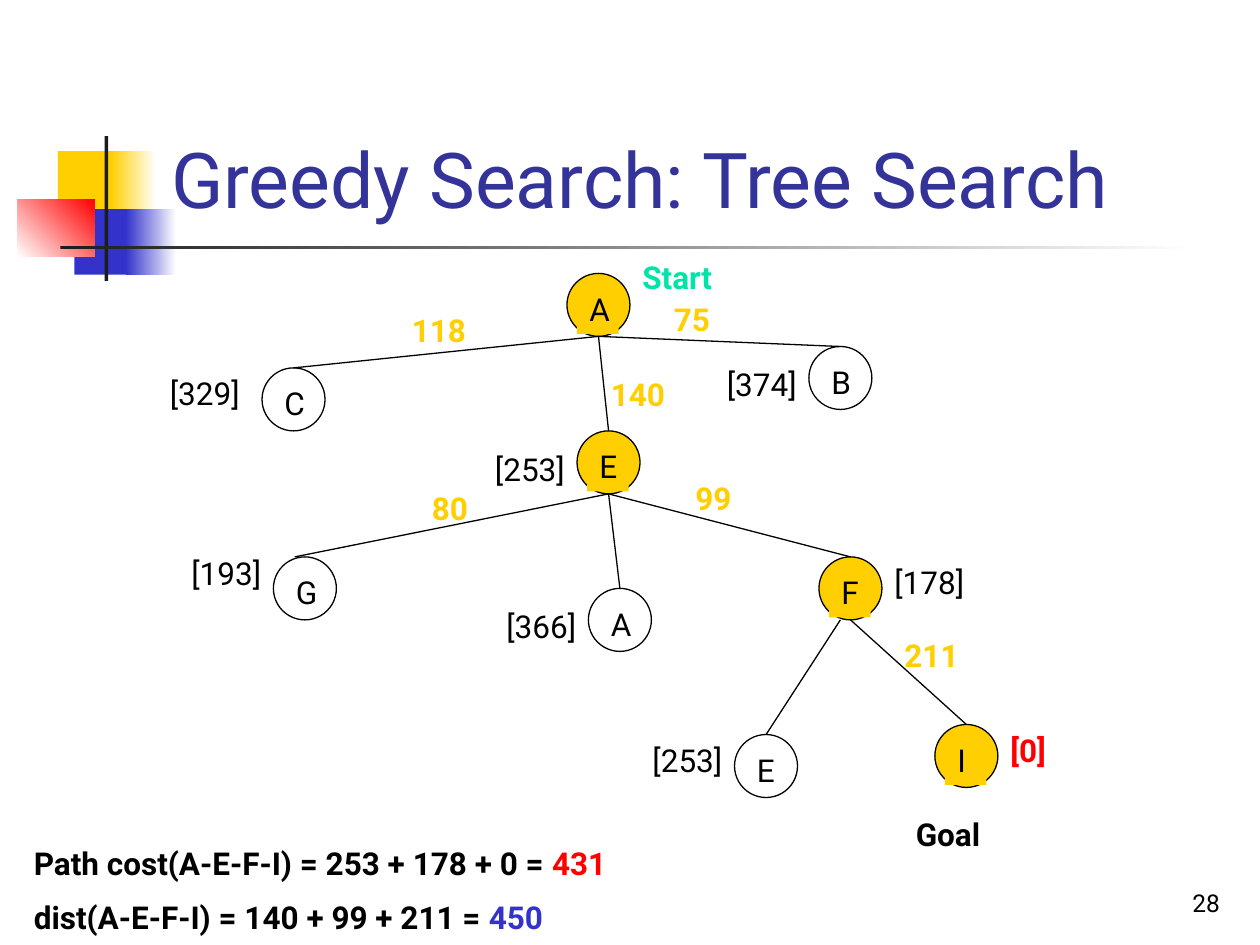
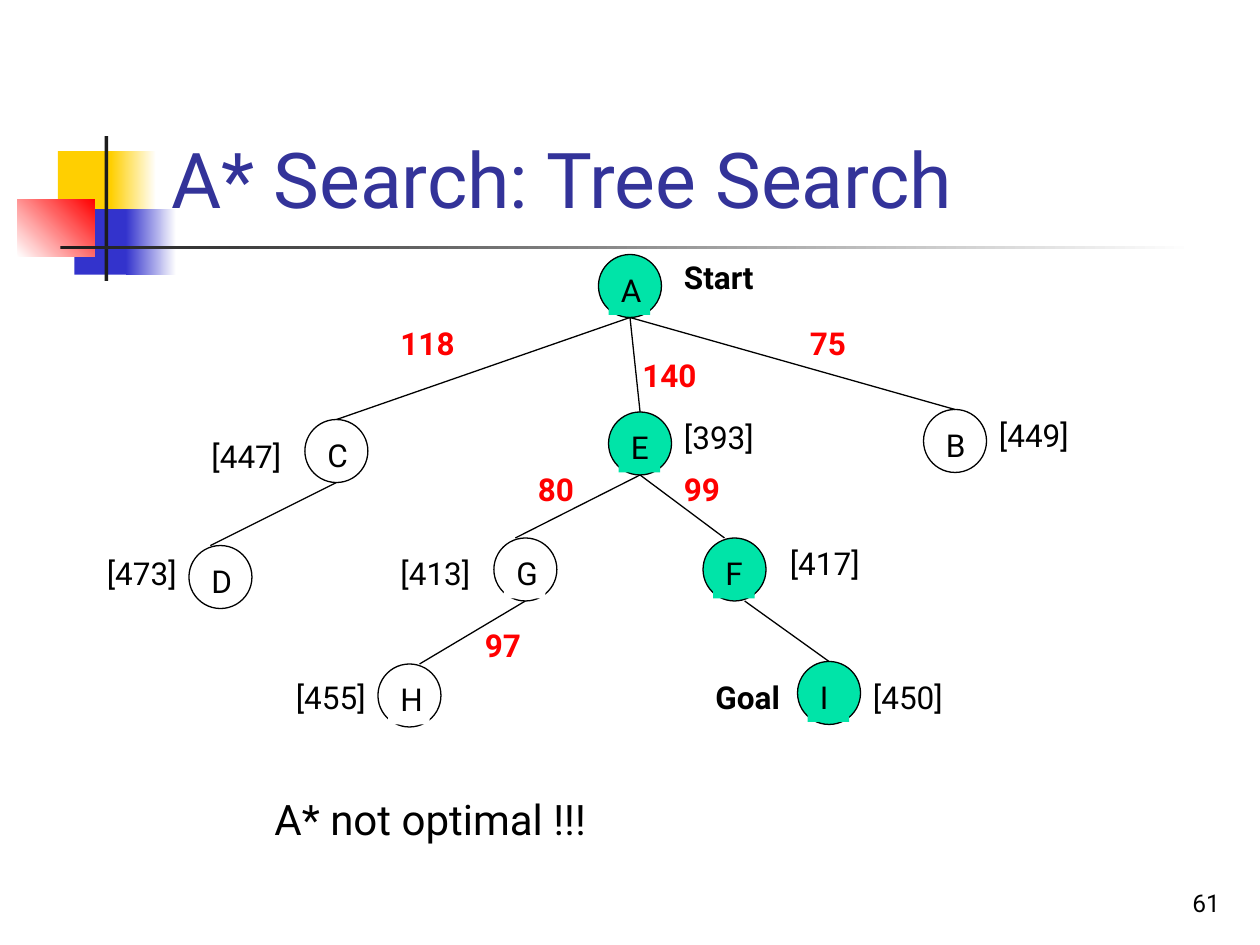
from dataclasses import dataclass

from lxml.etree import SubElement
from pptx import Presentation
from pptx.dml.color import RGBColor
from pptx.enum.shapes import MSO_CONNECTOR, MSO_SHAPE
from pptx.enum.text import MSO_ANCHOR, MSO_AUTO_SIZE, PP_ALIGN
from pptx.oxml.ns import qn
from pptx.util import Inches, Pt


@dataclass(frozen=True)
class Theme:
    font: str = "Roboto"
    title: str = "333399"
    ink: str = "000000"
    dark: str = "1C1C1C"
    white: str = "FFFFFF"
    yellow: str = "FFCF01"
    blue: str = "3333CC"
    red: str = "FF0000"
    green: str = "00E4A8"
    title_size: int = 44
    remark_size: int = 24
    body_size: int = 18
    number_size: int = 14
    line_width: float = 0.75


T = Theme()
NODE = 0.5
LETTER_INSET, LETTER_W, TEXT_H = 0.08, 0.33, 0.4
NUDGE = 0.08

# left, top, width, height, first colour, last colour (None: solid), angle
DECOR = [
    (0.46, 1.2, 0.48, 0.52, T.yellow, None, 0),
    (0.88, 1.2, 0.36, 0.52, T.yellow, T.white, 0),
    (0.59, 1.66, 0.46, 0.52, T.blue, None, 0),
    (1, 1.66, 0.4, 0.52, T.blue, T.white, 0),
    (0.14, 1.58, 0.61, 0.46, T.white, T.red, 45),
    (0.83, 1.08, 0.03, 1.15, T.dark, None, 0),
    (0.48, 1.95, 9, 0.03, T.dark, T.white, 0),
]

# nodes: key -> left, top, fill; the key's first character is the letter
# edges: parent, child, shift of the start, shift of the end
# costs, estimates: text, left, top; marks: text, left, top, colour
SLIDES = [
    {
        "title": "Greedy Search: Tree Search",
        "number": "28",
        "nodes": {
            "A": (4.5, 2.17, T.yellow), "B": (6.42, 2.75, None),
            "C": (2.08, 2.92, None), "E": (4.58, 3.42, T.yellow),
            "F": (6.5, 4.42, T.yellow), "I": (7.42, 5.75, T.yellow),
            "G": (2.17, 4.42, None), "A again": (4.67, 4.67, None),
            "E again": (5.83, 5.83, None),
        },
        "edges": [
            ("A", "B", 0, 0), ("A", "E", 0, 0), ("A", "C", 0, 0),
            ("E", "F", 0, 0), ("E", "G", 0, -NUDGE), ("E", "A again", 0, 0),
            ("F", "I", 0, 0), ("F", "E again", -NUDGE, 0),
        ],
        "cost_colour": T.yellow,
        "costs": [
            ("99", 5.42, 3.75), ("211", 7.08, 5), ("80", 3.33, 3.83),
            ("75", 5.25, 2.33), ("118", 3.17, 2.42), ("140", 4.75, 2.93),
        ],
        "estimates": [
            ("[374]", 5.67, 2.85), ("[329]", 1.25, 2.92), ("[253]", 3.83, 3.52),
            ("[193]", 1.42, 4.35), ("[366]", 3.92, 4.77), ("[178]", 7, 4.42),
            ("[253]", 5.08, 5.83),
        ],
        "marks": [
            ("Start", 5, 2, T.green), ("Goal", 7.17, 6.42, T.ink),
            ("[0]", 7.92, 5.75, T.red),
        ],
        "remark": {
            "box": (0.17, 6.65, 6, 0.85), "size": T.body_size, "bold": True,
            "paragraphs": [
                [("Path cost(A-E-F-I) = 253 + 178 + 0 = ", T.ink), ("431", T.red)],
                [("dist(A-E-F-I) = 140 + 99 + 211 = ", T.ink), ("450", T.blue)],
            ],
        },
    },
    {
        "title": "A* Search: Tree Search",
        "number": "61",
        "nodes": {
            "A": (4.75, 2.02, T.green), "B": (7.33, 3.25, None),
            "C": (2.42, 3.33, None), "E": (4.83, 3.27, T.green),
            "F": (5.58, 4.27, T.green), "G": (3.92, 4.27, T.white),
            "H": (3, 5.27, T.white), "I": (6.33, 5.25, T.green),
            "D": (1.5, 4.33, None),
        },
        "edges": [
            ("A", "B", 0, 0), ("A", "E", 0, 0), ("A", "C", 0, 0),
            ("E", "F", 0, -NUDGE), ("E", "G", 0, -NUDGE), ("G", "H", 0, NUDGE),
            ("F", "I", NUDGE, 0), ("C", "D", 0, -NUDGE),
        ],
        "cost_colour": T.red,
        "costs": [
            ("99", 5.33, 3.68), ("80", 4.17, 3.68), ("97", 3.75, 4.92),
            ("75", 6.33, 2.52), ("118", 3.08, 2.52), ("140", 5, 2.78),
        ],
        "estimates": [
            ("[393]", 5.33, 3.27), ("[449]", 7.83, 3.25), ("[447]", 1.58, 3.42),
            ("[417]", 6.17, 4.27), ("[413]", 3.08, 4.35), ("[455]", 2.25, 5.33),
            ("[450]", 6.83, 5.33), ("[473]", 0.75, 4.35),
        ],
        "marks": [("Start", 5.33, 2, T.ink), ("Goal", 5.58, 5.33, T.ink)],
        "remark": {
            "box": (2.08, 6.25, 7, 0.5), "size": T.remark_size, "bold": False,
            "paragraphs": [[("A* not optimal !!!", T.ink)]],
        },
    },
]


def rgb(colour):
    return RGBColor.from_string(colour)


def format_run(r, colour, size, bold=False):
    r.font.name = T.font
    r.font.size = Pt(size)
    r.font.bold = bold
    r.font.color.rgb = rgb(colour)


def add_text(shapes, text, box, colour=T.ink, size=T.body_size, bold=False):
    s = shapes.add_textbox(*map(Inches, box))
    tf = s.text_frame
    tf.word_wrap = True
    tf.text = text
    for p in tf.paragraphs:
        for r in p.runs:
            format_run(r, colour, size, bold)
    return s


def add_frame(slide, title, number):
    """Draw the corner blocks, the title and the page number."""
    for *box, first, last, angle in DECOR:
        s = slide.shapes.add_shape(MSO_SHAPE.RECTANGLE, *map(Inches, box))
        s.shadow.inherit = False
        s.line.fill.background()
        if last is None:
            s.fill.solid()
            s.fill.fore_color.rgb = rgb(first)
        else:
            s.fill.gradient()
            s.fill.gradient_angle = angle
            for stop, colour in zip(s.fill.gradient_stops, (first, last)):
                stop.color.rgb = rgb(colour)
    page = add_text(slide.shapes, number, (7.7, 6.83, 2.08, 0.5), size=T.number_size)
    page.text_frame.paragraphs[0].alignment = PP_ALIGN.RIGHT
    head = add_text(slide.shapes, title, (1.26, 0.23, 8.52, 1.6), T.title, T.title_size)
    for s in (page, head):
        s.text_frame.vertical_anchor = MSO_ANCHOR.BOTTOM


def add_node(slide, letter, left, top, fill):
    """Group a circle with its letter and return the circle."""
    group = slide.shapes.add_group_shape()
    circle = group.shapes.add_shape(
        MSO_SHAPE.OVAL, Inches(left), Inches(top), Inches(NODE), Inches(NODE))
    circle.shadow.inherit = False
    circle.line.color.rgb = rgb(T.ink)
    circle.line.width = Pt(T.line_width)
    box = (left + LETTER_INSET, top + LETTER_INSET, LETTER_W, TEXT_H)
    label = add_text(group.shapes, letter, box)
    label.text_frame.auto_size = MSO_AUTO_SIZE.SHAPE_TO_FIT_TEXT
    for s in (circle, label):
        if fill:
            s.fill.solid()
            s.fill.fore_color.rgb = rgb(fill)
        else:
            s.fill.background()
    return circle


def add_edge(slide, parent, child, start_shift, end_shift):
    """Join the foot of the parent to the top of the child."""
    line = slide.shapes.add_connector(
        MSO_CONNECTOR.STRAIGHT,
        parent.left + parent.width // 2 + Inches(start_shift),
        parent.top + parent.height,
        child.left + child.width // 2 + Inches(end_shift),
        child.top)
    if not end_shift:
        line.end_connect(child, 0)
    line.line.color.rgb = rgb(T.ink)
    line.line.width = Pt(T.line_width)
    SubElement(line._element.spPr, qn("a:effectLst"))


def add_remark(slide, remark):
    s = add_text(slide.shapes, "", remark["box"])
    tf = s.text_frame
    for i, parts in enumerate(remark["paragraphs"]):
        p = tf.add_paragraph() if i else tf.paragraphs[0]
        if i:
            p.space_before = Pt(remark["size"] / 2)
        for text, colour in parts:
            r = p.add_run()
            r.text = text
            format_run(r, colour, remark["size"], remark["bold"])


def build_slide(prs, data):
    slide = prs.slides.add_slide(prs.slide_layouts[6])
    add_frame(slide, data["title"], data["number"])
    circles = {key: add_node(slide, key[0], *place)
               for key, place in data["nodes"].items()}
    for parent, child, *shifts in data["edges"]:
        add_edge(slide, circles[parent], circles[child], *shifts)
    for text, left, top in data["costs"]:
        add_text(slide.shapes, text, (left, top, 0.83, TEXT_H),
                 data["cost_colour"], bold=True)
    for text, left, top in data["estimates"]:
        add_text(slide.shapes, text, (left, top, 0.92, TEXT_H))
    for text, left, top, colour in data["marks"]:
        add_text(slide.shapes, text, (left, top, 1.33, TEXT_H), colour, bold=True)
    add_remark(slide, data["remark"])


def main():
    prs = Presentation()
    prs.slide_width, prs.slide_height = Inches(10), Inches(7.5)
    for data in SLIDES:
        build_slide(prs, data)
    prs.save("out.pptx")


if __name__ == "__main__":
    main()
